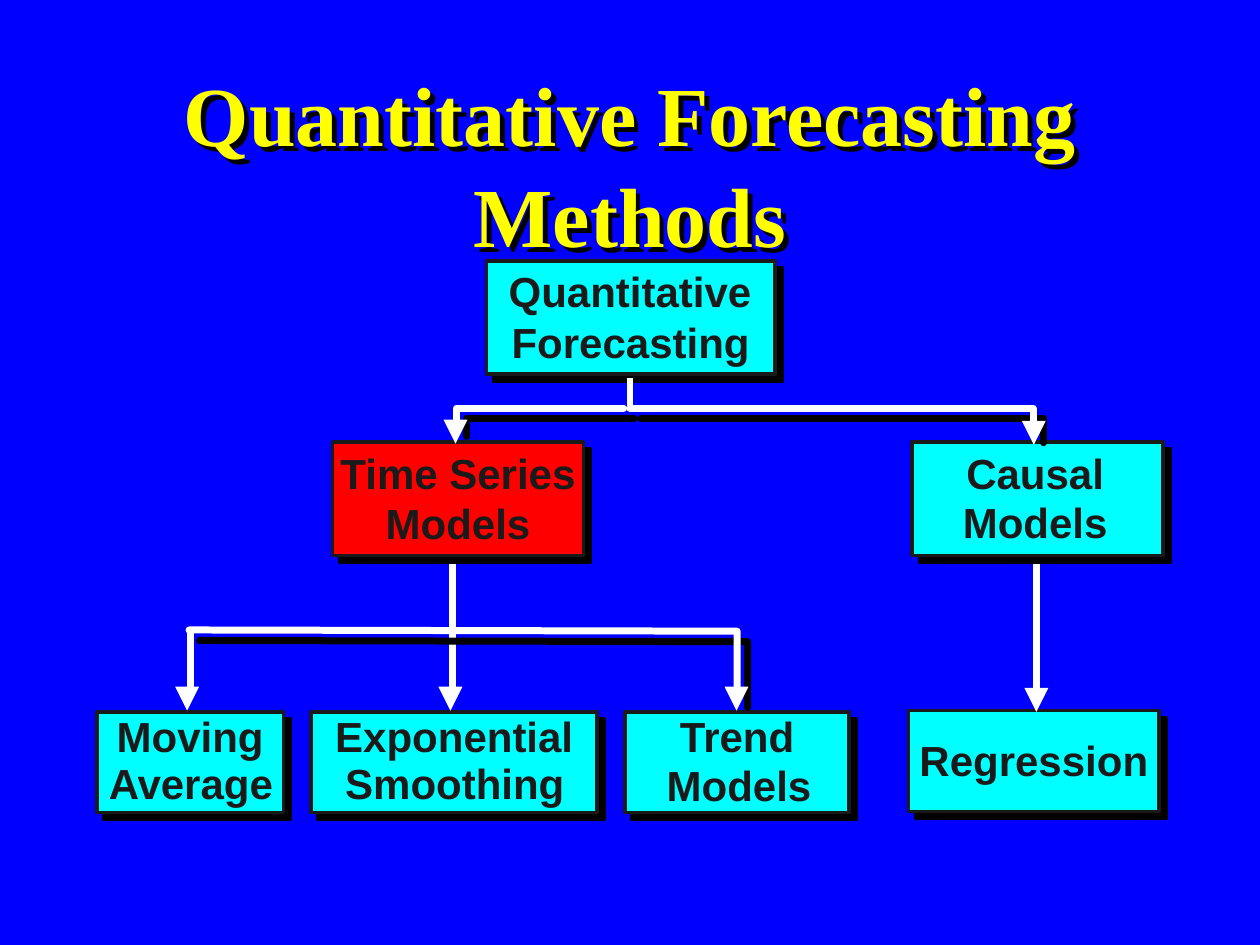
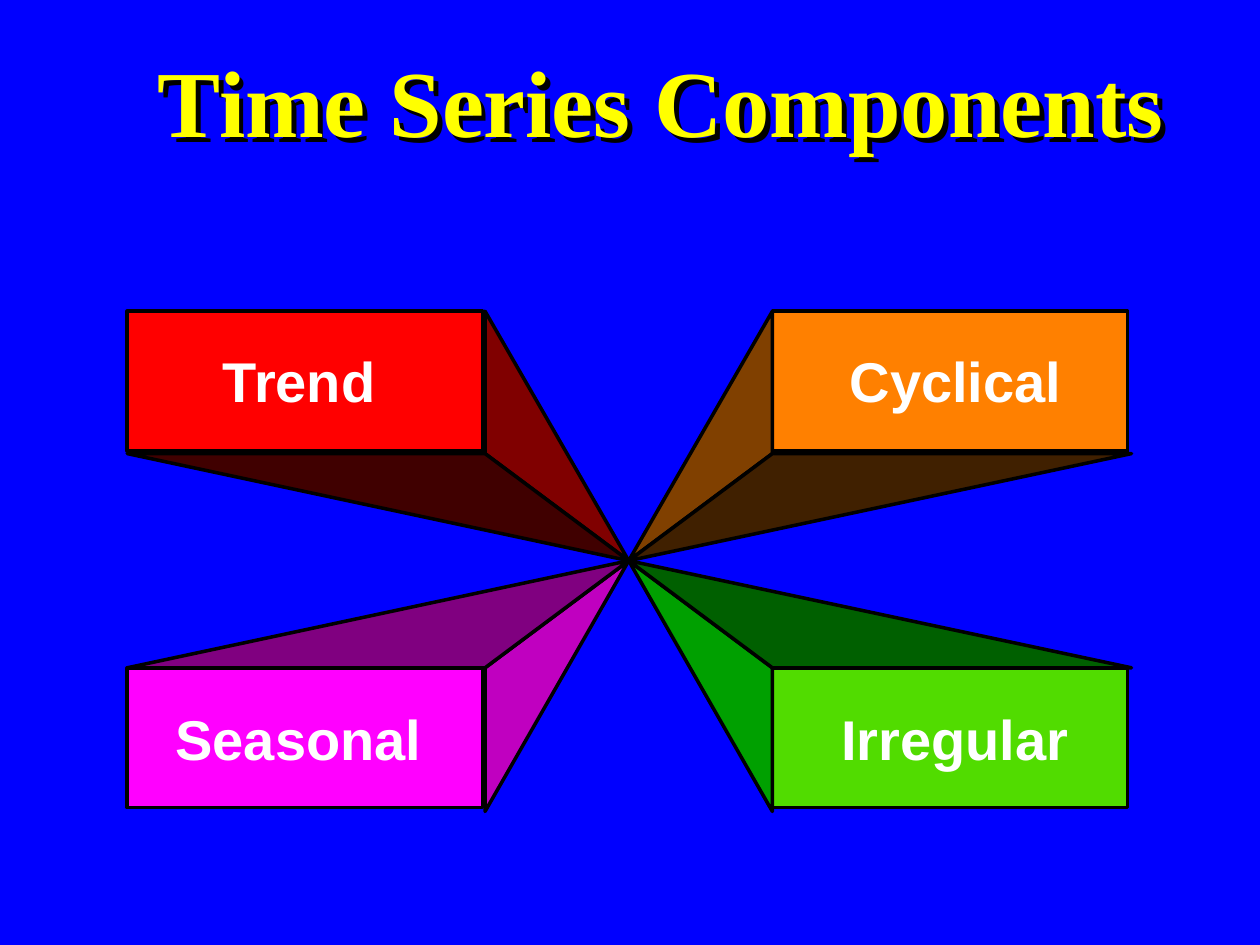
from lxml import etree
from pptx import Presentation
from pptx.dml.color import RGBColor as RGB
from pptx.enum.shapes import MSO_CONNECTOR as CONN, MSO_SHAPE as SHAPE
from pptx.enum.text import MSO_ANCHOR as ANCHOR, MSO_AUTO_SIZE as AUTO, PP_ALIGN as ALIGN
from pptx.oxml.ns import qn
from pptx.util import Emu, Pt

PX = 9144
COLORS = {
    "back": "0000FF", "title": "FFFF00", "box": "00FFFF", "ink": "1A1A1A",
    "black": "000000", "white": "FFFFFF", "red": "FF0000",
    "red_side": "800000", "red_shelf": "400000",
    "magenta": "FF00FF", "magenta_side": "C000C0", "magenta_shelf": "800080",
    "orange": "FF8000", "orange_side": "804000", "orange_shelf": "402000",
    "green": "51DC00", "green_side": "00A000", "green_shelf": "006000",
}
FRAME = {"auto_size": AUTO.NONE, "vertical_anchor": ANCHOR.MIDDLE}


def px(n):
    return Emu(round(n * PX))


def rgb(name):
    return RGB.from_string(COLORS[name])


def apply(obj, fmt):
    for key, value in fmt.items():
        setattr(obj, key, value)


def effects(parent, dist=None):
    lst = etree.SubElement(parent, qn("a:effectLst"))
    if dist:
        shadow = etree.SubElement(lst, qn("a:outerShdw"), dist=str(Pt(dist)),
                                  dir="2700000", algn="ctr", rotWithShape="0")
        etree.SubElement(shadow, qn("a:srgbClr"), val=COLORS["black"])


class Deck:
    def __init__(self):
        self.prs = Presentation()
        apply(self.prs, {"slide_width": px(1000), "slide_height": px(750)})
        fill = self.prs.slide_master.background.fill
        fill.solid()
        fill.fore_color.rgb = rgb("back")

    def slide(self, title, box, size):
        self.shapes = self.prs.slides.add_slide(self.prs.slide_layouts[5]).shapes
        sp = self.shapes.title
        apply(sp, dict(zip(("left", "top", "width", "height"), map(px, box))))
        self.paint(sp, shadow=4)
        self.text(sp, title, size, "title", "Times New Roman", wrap=True)

    def text(self, sp, text, size, color, font="Arial", wrap=False):
        tf = sp.text_frame
        apply(tf, FRAME)
        tf.word_wrap = wrap
        p = tf.paragraphs[0]
        apply(p, {"alignment": ALIGN.CENTER, "line_spacing": Pt(size * 1.2),
                  "space_before": Pt(0)})
        r = p.add_run()
        r.text = text
        apply(r.font, {"name": font, "size": Pt(size), "bold": True})
        r.font.color.rgb = rgb(color)

    def label(self, x, y, w, h, text, size, color):
        sp = self.shapes.add_textbox(*map(px, (x, y, w, h)))
        self.text(sp, text, size, color)

    def paint(self, sp, fill=None, line=None, width=2, shadow=None):
        if fill:
            sp.fill.solid()
            sp.fill.fore_color.rgb = rgb(fill)
        else:
            sp.fill.background()
        if line:
            sp.line.color.rgb = rgb(line)
            sp.line.width = Pt(width)
        else:
            sp.line.fill.background()
        if shadow:
            effects(sp._element.spPr, shadow)
        else:
            sp.shadow.inherit = False

    def shape(self, kind, x, y, w, h, **style):
        sp = self.shapes.add_shape(kind, *map(px, (x, y, w, h)))
        self.paint(sp, **style)

    def box(self, x, y, w, h, lines, fill="box"):
        self.shape(SHAPE.RECTANGLE, x, y, w, h, fill=fill, line="ink", shadow=5.7)
        for text, text_x, text_y, text_w in lines:
            self.label(text_x, text_y, text_w, 50, text, 24, "ink")

    def outline(self, points, closed=True, **style):
        builder = self.shapes.build_freeform(*points[0], scale=PX)
        builder.add_line_segments(points[1:], close=closed)
        sp = builder.convert_to_shape()
        self.paint(sp, **style)
        return sp

    def elbow(self, *points):
        sp = self.outline(points, closed=False, line="white", width=4, shadow=8.5)
        sp._element.spPr.find(qn("a:ln")).set("cap", "rnd")

    def line(self, x, top, bottom):
        c = self.shapes.add_connector(CONN.STRAIGHT, *map(px, (x, top, x, bottom)))
        c.line.color.rgb = rgb("white")
        c.line.width = Pt(4)
        effects(c._element.spPr)

    def head(self, x, y):
        self.shape(SHAPE.FLOWCHART_MERGE, x, y, 19, 19, fill="white")


def forecasting_methods(d):
    d.slide("Quantitative Forecasting Methods", (75, 67, 850, 125), 48)
    d.line(359, 444, 548)
    d.line(823, 436, 550)
    d.box(724, 351, 199, 90, [("Causal", 757, 350, 129), ("Models", 754, 389, 135)])
    d.box(386, 207, 229, 90,
          [("Quantitative", 394, 206, 212), ("Forecasting", 396, 246, 209)])
    d.box(264, 351, 199, 90,
          [("Time Series", 260, 350, 207), ("Models", 296, 390, 135)], fill="red")
    d.box(721, 564, 199, 80, [("Regression", 720, 578, 201)])
    for x, w, lines in (
        (247, 227, [("Exponential", 256, 559, 209), ("Smoothing", 264, 596, 194)]),
        (496, 178, [("Trend", 529, 559, 112), ("Models", 519, 598, 135)]),
        (77, 148, [("Moving", 83, 559, 136), ("Average", 76, 596, 151)]),
    ):
        d.box(x, 565, w, 80, lines)
    d.elbow((500, 324), (820, 324), (820, 343))
    d.line(151, 501, 551)
    d.line(500, 300, 322)
    d.elbow((495, 324), (362, 324), (362, 338))
    for x, y in ((813, 546), (811, 334), (348, 545), (139, 545), (352, 333)):
        d.head(x, y)
    d.elbow((150, 500), (585, 501), (585, 553))
    d.head(575, 545)


def time_series_components(d):
    d.slide("Time Series Components", (58, 17, 933, 124), 54)
    hub = (499, 445)
    columns = {"left": (101, 385, 101), "right": (613, 613, 898)}
    rows = {"top": (247, 360, 247, 270), "bottom": (530, 530, 644, 554)}
    for name, color, column, row, label_x, label_w in (
        ("Trend", "red", "left", "top", 158, 159),
        ("Seasonal", "magenta", "left", "bottom", 124, 226),
        ("Cyclical", "orange", "right", "top", 658, 201),
        ("Irregular", "green", "right", "bottom", 649, 218),
    ):
        x, inner_x, outer_x = columns[column]
        y, inner_y, outer_y, label_y = rows[row]
        corner = (inner_x, inner_y)
        d.shape(SHAPE.RECTANGLE, x, y, 282, 111, fill=color, line="black")
        d.outline([(inner_x, outer_y), hub, corner], fill=color + "_side", line="black")
        d.outline([(outer_x, inner_y), corner, hub], fill=color + "_shelf", line="black")
        d.label(label_x, label_y, label_w, 63, name, 32, "white")


def main():
    d = Deck()
    forecasting_methods(d)
    time_series_components(d)
    d.prs.save("out.pptx")


if __name__ == "__main__":
    main()
